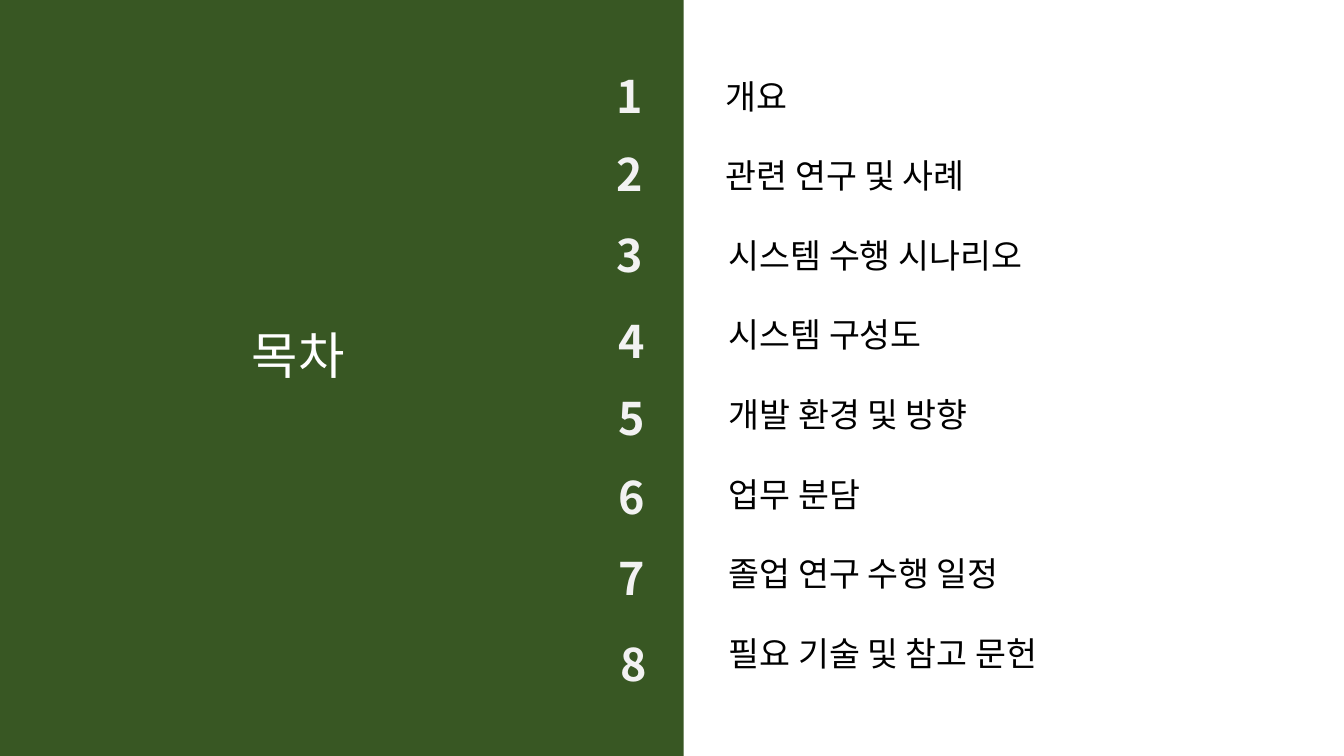
"""Build a table-of-contents slide with a green title panel and eight numbered topics."""
import pptx
import pptx.dml.color
import pptx.enum.shapes
import pptx.enum.text
import pptx.oxml.ns
import pptx.util
from lxml import etree
from pptx.util import Inches

FONT = "Noto Sans CJK KR"
GREEN = pptx.dml.color.RGBColor(0x38, 0x57, 0x23)
LIGHT = pptx.dml.color.RGBColor(0xF2, 0xF2, 0xF2)
WHITE = pptx.dml.color.RGBColor(0xFF, 0xFF, 0xFF)
BLACK = pptx.dml.color.RGBColor(0, 0, 0)

TITLE = "목차"
# topic, topic left, topic width, number left, number top, number width
CONTENTS = [
    ("개요", 7.1, 0.88, 6.02, 0.63, 0.36),
    ("관련 연구 및 사례", 7.1, 2.92, 6.02, 1.41, 0.44),
    ("시스템 수행 시나리오", 7.13, 3.47, 6.02, 2.21, 0.44),
    ("시스템 구성도", 7.13, 2.34, 6.04, 3.06, 0.44),
    ("개발 환경 및 방향", 7.13, 2.92, 6.04, 3.83, 0.44),
    ("업무 분담", 7.13, 1.67, 6.04, 4.61, 0.44),
    ("졸업 연구 수행 일정", 7.13, 3.25, 6.04, 5.41, 0.42),
    ("필요 기술 및 참고 문헌", 7.13, 3.71, 6.06, 6.27, 0.44),
]
TOPIC_TOP, TOPIC_STEP = 0.7, 0.79


def add_text(slide, text, box, size, color, bold=False, wrap=False):
    """Add a left-aligned text box that grows with its text."""
    shape = slide.shapes.add_textbox(*map(Inches, box))
    frame = shape.text_frame
    frame.text = text
    frame.word_wrap = wrap
    frame.auto_size = pptx.enum.text.MSO_AUTO_SIZE.SHAPE_TO_FIT_TEXT
    font = frame.paragraphs[0].runs[0].font
    font.size = pptx.util.Pt(size)
    font.bold = bold
    font.color.rgb = color
    font.name = FONT
    properties = frame.paragraphs[0].runs[0]._r.get_or_add_rPr()
    etree.SubElement(properties, pptx.oxml.ns.qn("a:ea"), typeface=FONT)
    return shape


presentation = pptx.Presentation()
presentation.slide_width = Inches(13.33)
presentation.slide_height = Inches(7.5)
slide = presentation.slides.add_slide(presentation.slide_layouts[6])

panel = slide.shapes.add_shape(
    pptx.enum.shapes.MSO_SHAPE.RECTANGLE, Inches(-0.01), 0, Inches(6.79), Inches(7.5))
panel.shadow.inherit = False
panel.fill.solid()
panel.fill.fore_color.rgb = GREEN
panel.line.fill.background()

for index, (topic, left, width, number_left, number_top, number_width) in enumerate(CONTENTS):
    number = add_text(slide, str(index + 1), (number_left, number_top, number_width, 0.64),
                      32, LIGHT, bold=True)
    number.fill.solid()
    number.fill.fore_color.rgb = GREEN
    add_text(slide, topic, (left, TOPIC_TOP + index * TOPIC_STEP, width, 0.5), 24, BLACK)

add_text(slide, TITLE, (2.4, 3.17, 2.15, 0.71), 36, WHITE, wrap=True)

presentation.save("out.pptx")
